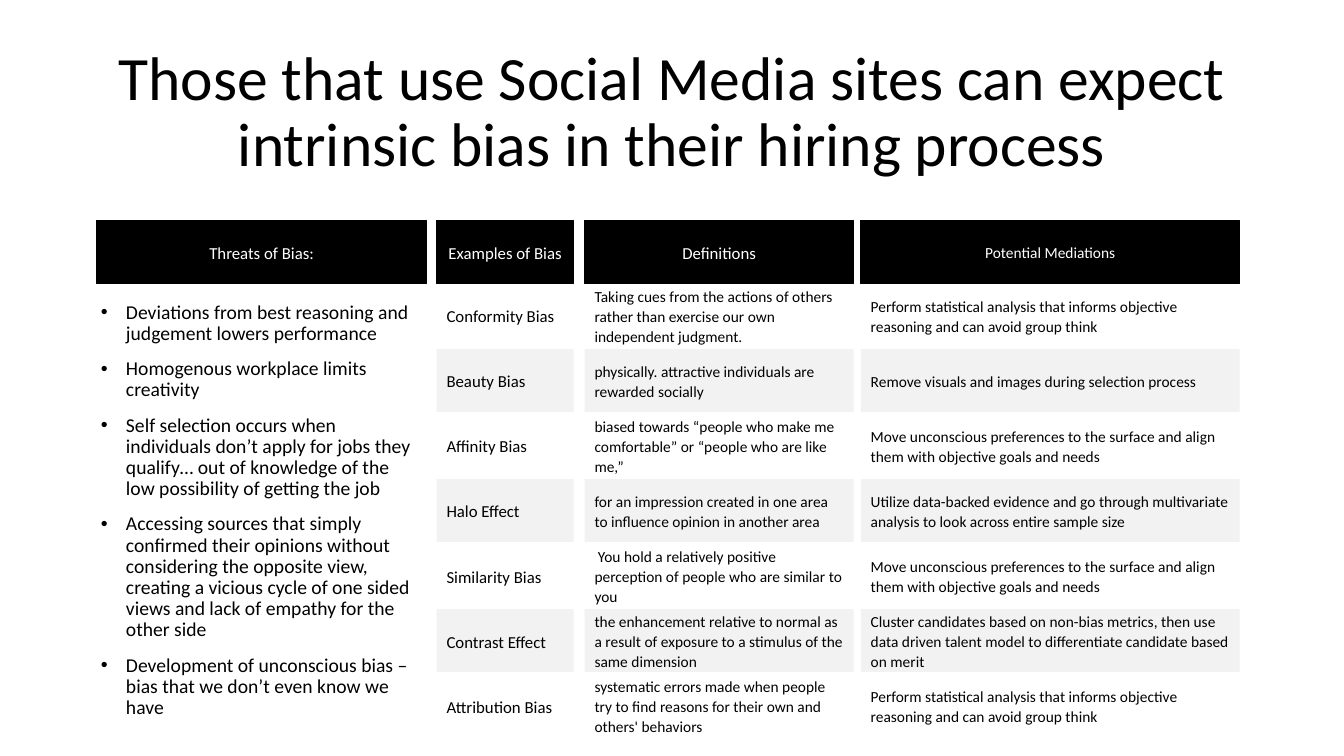
from dataclasses import dataclass

from pptx import Presentation
from pptx.dml.color import RGBColor
from pptx.enum.shapes import MSO_SHAPE as Preset
from pptx.enum.text import MSO_ANCHOR as Anchor, MSO_AUTO_SIZE as AutoSize, PP_ALIGN as Align
from pptx.util import Pt


@dataclass(frozen=True)
class Theme:
    """Colours, font and type sizes of the slide."""
    font: str = "Calibri"
    black: RGBColor = RGBColor(0, 0, 0)
    white: RGBColor = RGBColor(255, 255, 255)
    band: RGBColor = RGBColor(0xF2, 0xF2, 0xF2)
    title: int = 44
    body: int = 14
    label: int = 12
    detail: int = 11


THEME = Theme()
HEADER_TOP = 157.7
FIRST_ROW_TOP = 203
ROW_PITCH = 46.44
CELL_HEIGHT = 44.8

HEADERS = [
    ("Threats of Bias:", 69.1, 235.6, THEME.label),
    ("Examples of Bias", 311.9, 97.9, THEME.label),
    ("Definitions", 417.6, 192.2, THEME.label),
    ("Potential Mediations", 614.9, 270.7, THEME.detail),
]
CELL_SIZES = [THEME.label, THEME.detail, THEME.detail]

TITLE = "Those that use Social Media sites can expect intrinsic bias in their hiring process"
THREATS = [
    "Deviations from best reasoning and judgement lowers performance",
    "Homogenous workplace limits creativity",
    "Self selection occurs when individuals don’t apply for jobs they qualify… "
    "out of knowledge of the low possibility of getting the job",
    "Accessing sources that simply confirmed their opinions without considering the "
    "opposite view, creating a vicious cycle of one sided views and lack of empathy "
    "for the other side",
    "Development of unconscious bias – bias that we don’t even know we have",
]
STATISTICS = "Perform statistical analysis that informs objective reasoning and can avoid group think"
PREFERENCES = ("Move unconscious preferences to the surface and align them with "
               "objective goals and needs")
BIASES = [
    ("Conformity Bias",
     "Taking cues from the actions of others rather than exercise our own independent judgment.",
     STATISTICS),
    ("Beauty Bias",
     "physically. attractive individuals are rewarded socially",
     "Remove visuals and images during selection process"),
    ("Affinity Bias",
     "biased towards “people who make me comfortable” or “people who are like me,” ",
     PREFERENCES),
    ("Halo Effect",
     "for an impression created in one area to influence opinion in another area",
     "Utilize data-backed evidence and go through multivariate analysis to look across "
     "entire sample size"),
    ("Similarity Bias",
     " You hold a relatively positive perception of people who are similar to you",
     PREFERENCES),
    ("Contrast Effect",
     "the enhancement relative to normal as a result of exposure to a stimulus of the "
     "same dimension",
     "Cluster candidates based on non-bias metrics, then use data driven talent model to "
     "differentiate candidate based on merit"),
    ("Attribution Bias",
     "systematic errors made when people try to find reasons for their own and "
     "others' behaviors",
     STATISTICS),
]


def place(shape, left, top, width, height):
    """Move and size a shape, in points."""
    shape.left, shape.top = Pt(left), Pt(top)
    shape.width, shape.height = Pt(width), Pt(height)


def format_paragraph(paragraph, size, color, align, spacing):
    """Set the alignment, line spacing and font of a paragraph."""
    paragraph.alignment = align
    paragraph.line_spacing = spacing
    for run in paragraph.runs:
        run.font.name = THEME.font
        run.font.size = Pt(size)
        run.font.color.rgb = color


def fill_title(title):
    """Write the slide title."""
    place(title, 50.4, 28.8, 859.7, 104.4)
    frame = title.text_frame
    frame.text = TITLE
    frame.auto_size = AutoSize.NONE
    frame.vertical_anchor = Anchor.MIDDLE
    format_paragraph(frame.paragraphs[0], THEME.title, THEME.black, Align.CENTER, 0.9)


def fill_threats(body):
    """Write the bulleted list of threats."""
    place(body, 64.8, 212.4, 239, 311)
    frame = body.text_frame
    frame.text = "\n".join(THREATS)
    frame.auto_size = AutoSize.NONE
    for paragraph in frame.paragraphs:
        format_paragraph(paragraph, THEME.body, THEME.black, Align.LEFT, 0.9)
        paragraph.space_before = Pt(10)
        properties = paragraph._p.get_or_add_pPr()
        properties.set("marL", str(Pt(18)))
        properties.set("indent", str(-Pt(18)))


def add_cell(shapes, text, left, top, width, size, fill, color, align):
    """Add a filled rectangle with centred-height text and return it."""
    cell = shapes.add_shape(Preset.RECTANGLE, Pt(left), Pt(top), Pt(width), Pt(CELL_HEIGHT))
    cell.shadow.inherit = False
    cell.fill.solid()
    cell.fill.fore_color.rgb = fill
    cell.line.fill.background()
    frame = cell.text_frame
    frame.text = text
    frame.word_wrap = True
    frame.vertical_anchor = Anchor.MIDDLE
    format_paragraph(frame.paragraphs[0], size, color, align, 1.07)
    return cell


def add_header(shapes, text, left, width, size):
    """Add a black column header."""
    header = add_cell(shapes, text, left, HEADER_TOP, width, size,
                      THEME.black, THEME.white, Align.CENTER)
    header.line.color.rgb = THEME.black
    header.line.width = Pt(1)


def add_bias_row(shapes, index, texts):
    """Add one grouped row of the bias grid."""
    group = shapes.add_group_shape()
    top = FIRST_ROW_TOP + index * ROW_PITCH
    fill = THEME.band if index % 2 else THEME.white
    for text, (_, left, width, _), size in zip(texts, HEADERS[1:], CELL_SIZES):
        add_cell(group.shapes, text, left, top, width, size, fill, THEME.black, Align.LEFT)


def main():
    """Build the slide and save it."""
    presentation = Presentation()
    presentation.slide_width, presentation.slide_height = Pt(960), Pt(540)
    slide = presentation.slides.add_slide(presentation.slide_layouts[1])
    fill_title(slide.shapes.title)
    fill_threats(slide.placeholders[1])
    for index, texts in enumerate(BIASES):
        add_bias_row(slide.shapes, index, texts)
    for header in HEADERS:
        add_header(slide.shapes, *header)
    presentation.save("out.pptx")


if __name__ == "__main__":
    main()
